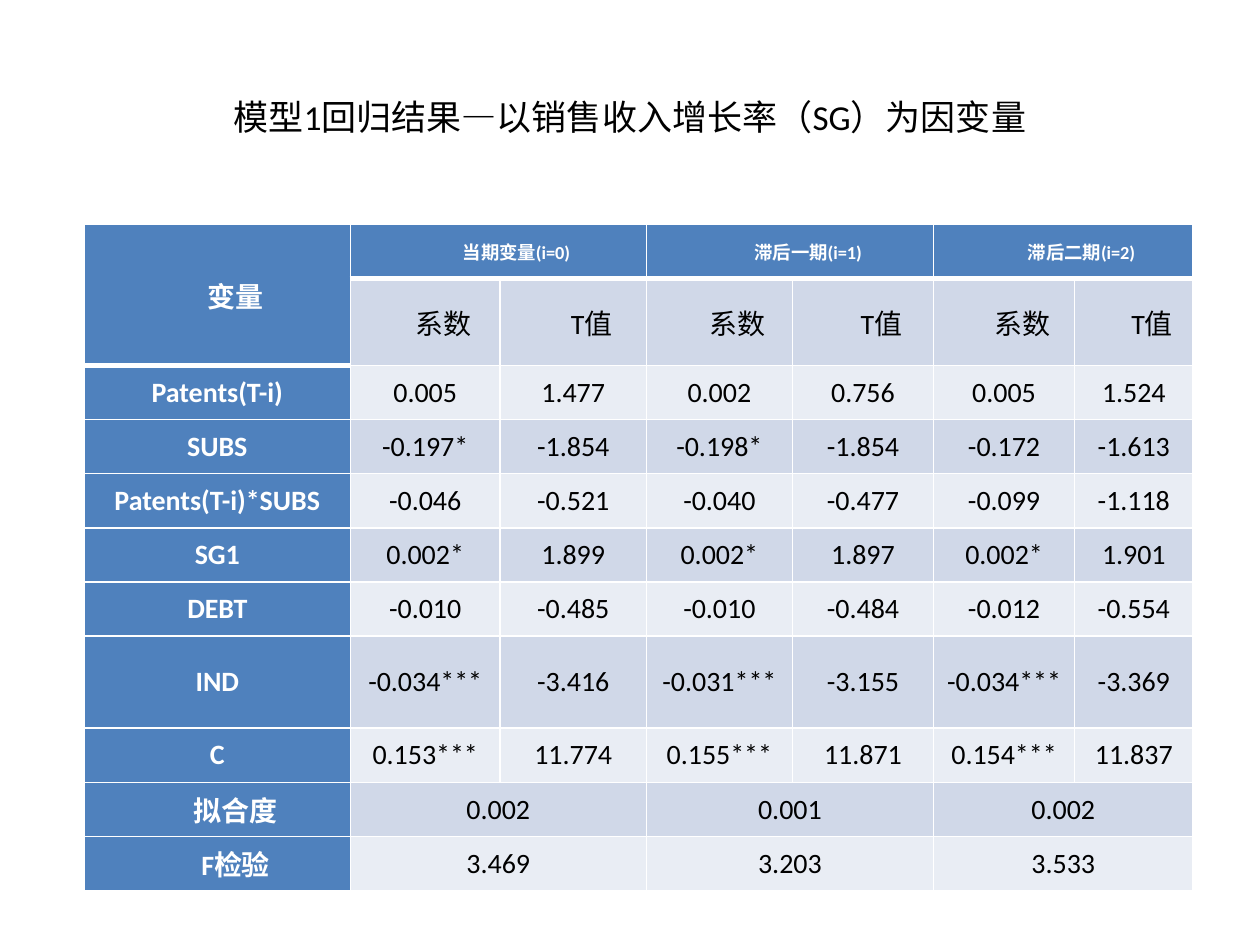
import pptx
import pptx.dml.color
import pptx.enum.text
import pptx.oxml.ns
import pptx.util
from lxml import etree

Inches, Pt = pptx.util.Inches, pptx.util.Pt
FONT = "Calibri"
COLORS = {"header": "4F81BD", "band_dark": "D0D8E8", "band_light": "E9EDF4",
          "white": "FFFFFF", "black": "000000"}

# Content: None continues the cell to its left, or above in the first column
TITLE = "模型1回归结果—以销售收入增长率（SG）为因变量"
REGRESSION = [
    ["变量", "当期变量(i=0)", None, "滞后一期(i=1)", None, "滞后二期(i=2)", None],
    [None] + ["系数", "T值"] * 3,
    ["Patents(T-i)", "0.005", "1.477", "0.002", "0.756", "0.005", "1.524"],
    ["SUBS", "-0.197*", "-1.854", "-0.198*", "-1.854", "-0.172", "-1.613"],
    ["Patents(T-i)*SUBS", "-0.046", "-0.521", "-0.040", "-0.477", "-0.099", "-1.118"],
    ["SG1", "0.002*", "1.899", "0.002*", "1.897", "0.002*", "1.901"],
    ["DEBT", "-0.010", "-0.485", "-0.010", "-0.484", "-0.012", "-0.554"],
    ["IND", "-0.034***", "-3.416", "-0.031***", "-3.155", "-0.034***", "-3.369"],
    ["C", "0.153***", "11.774", "0.155***", "11.871", "0.154***", "11.837"],
    ["拟合度", "0.002", None, "0.001", None, "0.002", None],
    ["F检验", "3.469", None, "3.203", None, "3.533", None],
]
COLUMN_WIDTHS = [2.11, 1.19, 1.16, 1.16, 1.12, 1.12, 0.94]
ROW_HEIGHT = 0.43
TALL_ROWS = {1: 0.69, 7: 0.73}
INDENTED_LABELS = {"拟合度", "F检验"}


def rgb(name):
    return pptx.dml.color.RGBColor.from_string(COLORS[name])


def write(frame, text, size, color, bold=False, indent=0):
    paragraph = frame.paragraphs[0]
    paragraph.alignment = pptx.enum.text.PP_ALIGN.CENTER
    if indent:
        properties = paragraph._p.get_or_add_pPr()
        properties.set("marL", "0")
        properties.set("indent", str(Inches(indent)))
    run = paragraph.add_run()
    run.text = text
    run.font.name = FONT
    run.font.size = Pt(size)
    run.font.bold = bold
    run.font.color.rgb = rgb(color)


def add_borders(cell, widths):
    qn = pptx.oxml.ns.qn
    properties = cell._tc.get_or_add_tcPr()
    for side, width in widths.items():
        line = etree.SubElement(properties, qn("a:ln" + side), w=str(Pt(width)))
        fill = etree.SubElement(line, qn("a:solidFill"))
        etree.SubElement(fill, qn("a:srgbClr"), val=COLORS["white"])


prs = pptx.Presentation()
prs.slide_width, prs.slide_height = Inches(10), Inches(7.5)
slide = prs.slides.add_slide(prs.slide_layouts[6])

# Title
heading = slide.shapes.add_textbox(Inches(0.5), Inches(0.3), Inches(9), Inches(1.25)).text_frame
heading.word_wrap = True
heading.vertical_anchor = pptx.enum.text.MSO_ANCHOR.MIDDLE
write(heading, TITLE, 20, "black")

# Table grid
row_heights = [TALL_ROWS.get(r, ROW_HEIGHT) for r in range(len(REGRESSION))]
results = slide.shapes.add_table(
    len(REGRESSION), len(COLUMN_WIDTHS), Inches(0.67), Inches(1.78),
    Inches(sum(COLUMN_WIDTHS)), Inches(sum(row_heights))).table
results.first_row = results.horz_banding = False
for column, width in zip(results.columns, COLUMN_WIDTHS):
    column.width = Inches(width)
for row, height in zip(results.rows, row_heights):
    row.height = Inches(height)

# Cells: the header has a thick rule below it
for r, values in enumerate(REGRESSION):
    for c, value in enumerate(values):
        cell = results.cell(r, c)
        is_header = r == 0 or c == 0
        last_header_row = 1 if c == 0 else 0
        add_borders(cell, {"L": 1, "R": 1,
                           "T": 3 if r == last_header_row + 1 else 1,
                           "B": 3 if r == last_header_row else 1})
        cell.fill.solid()
        cell.fill.fore_color.rgb = rgb(
            "header" if is_header else "band_dark" if r % 2 else "band_light")
        cell.margin_left = cell.margin_right = Inches(0.07)
        cell.margin_top = cell.margin_bottom = 0
        cell.vertical_anchor = pptx.enum.text.MSO_ANCHOR.MIDDLE
        if value is not None:
            indented = r < 2 or value in INDENTED_LABELS
            write(cell.text_frame, value, 10.5 if r == 0 and c > 0 else 16,
                  "white" if is_header else "black", is_header,
                  0.29 if indented else 0)

# Merged cells
results.cell(0, 0).merge(results.cell(1, 0))
for r, values in enumerate(REGRESSION):
    for c in range(1, len(values) - 1):
        if values[c + 1] is None:
            results.cell(r, c).merge(results.cell(r, c + 1))

prs.save("out.pptx")
